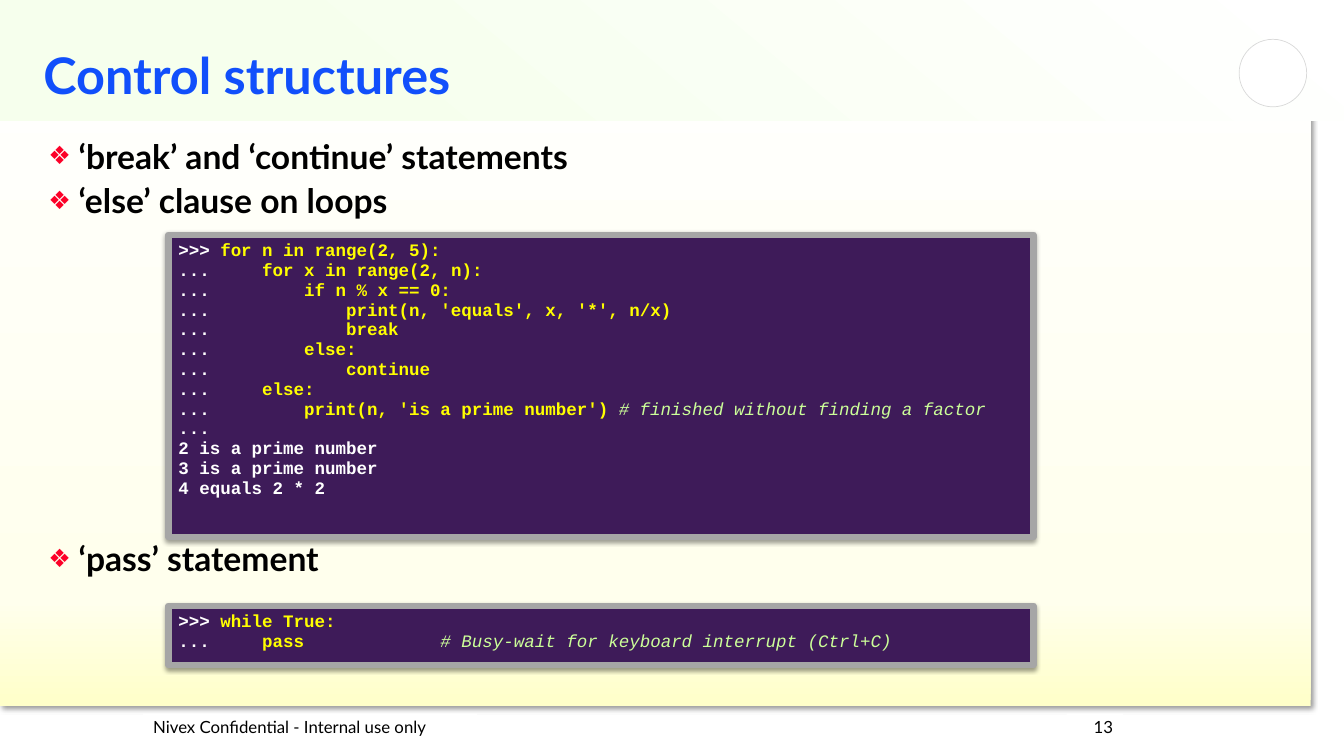
from dataclasses import dataclass
from math import cos, radians, sin

from lxml.etree import SubElement
from pptx import Presentation
from pptx.dml.color import RGBColor
from pptx.enum.shapes import MSO_SHAPE
from pptx.enum.text import MSO_ANCHOR, MSO_AUTO_SIZE, PP_ALIGN
from pptx.oxml.ns import qn
from pptx.util import Inches, Pt


@dataclass(frozen=True)
class Theme:
    font: str = "Lato"
    mono: str = "Courier New"
    title: str = "114FFB"
    text: str = "000000"
    paper: str = "FFFFFF"
    bullet: str = "FC0128"
    panel: str = "3E1B59"
    frame: str = "A6A6A6"
    emblem: str = "D9D9D9"
    prompt: str = "FFFFFF"
    code: str = "FFFF00"
    comment: str = "CCFF99"
    page: tuple = ((0, "FFFFC9"), (15, "FFFFED"), (100, "FFFFFF"))
    banner: tuple = ((0, "F6FFED"), (23, "F6FFED"), (100, "FFFFFF"))
    title_size: float = 36
    body_size: float = 24
    code_size: float = 12.5
    footer_size: float = 12


def rgb(value):
    return RGBColor.from_string(value)


def arc(cx, cy, start, end, r=0.09, steps=8):
    angles = [radians(start + (end - start) * i / steps) for i in range(steps + 1)]
    return [(cx + r * cos(a), cy + r * sin(a)) for a in angles]


class SlideBuilder:
    """Draws themed elements on the current slide."""

    def __init__(self, prs, theme):
        self.theme = theme
        self.s = prs.slides.add_slide(prs.slide_layouts[1])

    def run(self, p, text, size, color, font=None, bold=False, italic=False):
        r = p.add_run()
        r.text = text
        r.font.size, r.font.name = Pt(size), font or self.theme.font
        r.font.bold, r.font.italic = bold, italic
        r.font.color.rgb = rgb(color)

    def frame(self, sp, dx, dy):
        tf = sp.text_frame
        tf.word_wrap, tf.auto_size = True, MSO_AUTO_SIZE.NONE
        tf.vertical_anchor = MSO_ANCHOR.TOP
        tf.margin_left = tf.margin_right = Inches(dx)
        tf.margin_top = tf.margin_bottom = Inches(dy)
        return tf

    def paragraphs(self, tf, items, spacing):
        for i, item in enumerate(items):
            p = tf.add_paragraph() if i else tf.paragraphs[0]
            p.alignment, p.line_spacing = PP_ALIGN.LEFT, spacing
            yield p, item

    def placeholder(self, idx, box):
        sp = self.s.placeholders[idx]
        sp.left, sp.top, sp.width, sp.height = map(Inches, box)
        sp.element.getparent().append(sp.element)
        return sp

    def rect(self, box, fill, kind=MSO_SHAPE.RECTANGLE):
        sp = self.s.shapes.add_shape(kind, *map(Inches, box))
        sp.shadow.inherit = False
        sp.fill.solid()
        sp.fill.fore_color.rgb = rgb(fill)
        sp.line.fill.background()
        return sp

    def gradient(self, sp, stops, angle):
        sp.fill.gradient()
        sp.fill.gradient_angle = angle
        gs_list = sp.element.spPr.find(".//" + qn("a:gsLst"))
        gs_list.clear()
        for pos, color in stops:
            gs = SubElement(gs_list, qn("a:gs"), pos=str(pos * 1000))
            SubElement(gs, qn("a:srgbClr"), val=color)

    def shadow(self, sp, alpha, blur, dist, angle):
        sp.shadow.inherit = False
        effects = sp.element.spPr.find(qn("a:effectLst"))
        shadow = SubElement(effects, qn("a:outerShdw"), blurRad=str(Pt(blur)),
                            dist=str(Pt(dist)), dir=str(angle * 60000), rotWithShape="0")
        color = SubElement(shadow, qn("a:srgbClr"), val="000000")
        SubElement(color, qn("a:alpha"), val=str(alpha * 1000))

    def backdrop(self):
        outline = [(0, 0), (13.33, 0), (13.33, 6.61),
                   *arc(10.76, 6.7, 270, 180), *arc(10.58, 6.79, 0, 90),
                   *arc(1.35, 6.79, 90, 180), *arc(1.17, 6.7, 0, -90), (0, 6.61)]
        fb = self.s.shapes.build_freeform(0, 0, scale=Inches(1))
        fb.add_line_segments(outline[1:], close=True)
        sp = fb.convert_to_shape()
        self.gradient(sp, self.theme.page, 90)
        sp.line.fill.background()
        self.shadow(sp, 40, 4, 3, 45)
        self.gradient(self.rect((0, 0, 13.33, 1.2), self.theme.paper), self.theme.banner, 50)

    def emblem(self, box):
        sp = self.rect(box, self.theme.paper, MSO_SHAPE.OVAL)
        sp.line.color.rgb = rgb(self.theme.emblem)
        sp.line.width = Pt(0.5)

    def footer(self, box, text, align=PP_ALIGN.LEFT):
        tf = self.frame(self.rect(box, self.theme.paper), 0.1, 0.05)
        for p, item in self.paragraphs(tf, [text], 0.9):
            p.alignment = align
            self.run(p, item, self.theme.footer_size, self.theme.text)

    def title(self, box, text):
        tf = self.frame(self.placeholder(0, box), 0.05, 0.02)
        for p, item in self.paragraphs(tf, [text], 1.05):
            self.run(p, item, self.theme.title_size, self.theme.title, bold=True)

    def bullets(self, box, items):
        tf = self.frame(self.placeholder(1, box), 0.1, 0.05)
        for p, (text, before) in self.paragraphs(tf, items, 0.9):
            p.space_before = Pt(before)
            pPr = p._p.get_or_add_pPr()
            pPr.set("marL", str(Inches(0.3)))
            pPr.set("indent", str(Inches(-0.3)))
            SubElement(SubElement(pPr, qn("a:buClr")), qn("a:srgbClr"), val=self.theme.bullet)
            SubElement(pPr, qn("a:buSzPct"), val="75000")
            SubElement(pPr, qn("a:buChar"), char="❖")
            self.run(p, text, self.theme.body_size, self.theme.text, bold=True)

    def code(self, top, height, lines):
        t = self.theme
        sp = self.rect((1.67, top, 8.58, height), t.panel)
        sp.line.color.rgb = rgb(t.frame)
        sp.line.width = Pt(4.5)
        self.shadow(sp, 38, 3.1, 1.6, 90)
        for p, parts in self.paragraphs(self.frame(sp, 0.1, 0.1), lines, 0.7):
            p.space_before = Pt(3.65)
            for text, color in zip(parts, (t.prompt, t.code, t.comment)):
                note = color == t.comment
                self.run(p, text, t.code_size, color, t.mono, not note, note)


LOOP = [
    (">>> ", "for n in range(2, 5):"),
    ("...     ", "for x in range(2, n):"),
    ("...         ", "if n % x == 0:"),
    ("...             ", "print(n, 'equals', x, '*', n/x)"),
    ("...             ", "break"),
    ("...         ", "else:"),
    ("...             ", "continue"),
    ("...     ", "else:"),
    ("...         ", "print(n, 'is a prime number') ", "# finished without finding a factor"),
    ("...",),
    ("2 is a prime number",),
    ("3 is a prime number",),
    ("4 equals 2 * 2",),
]
WAIT = [
    (">>> ", "while True:"),
    ("...     ", "pass             ", "# Busy-wait for keyboard interrupt (Ctrl+C)"),
]


def main():
    prs = Presentation()
    prs.slide_width, prs.slide_height = Inches(13.33), Inches(7.5)
    b = SlideBuilder(prs, Theme())
    b.backdrop()
    b.footer((1.42, 7.08, 3.31, 0.28), "Nivex Confidential - Internal use only")
    b.footer((10.58, 7.08, 0.56, 0.28), "13", PP_ALIGN.RIGHT)
    b.emblem((12.29, 0.39, 0.67, 0.67))
    b.title((0.38, 0.39, 11.88, 0.67), "Control structures")
    b.bullets((0.38, 1.34, 12.58, 5.17), [
        ("‘break’ and ‘continue’ statements", 6),
        ("‘else’ clause on loops", 6),
        ("‘pass’ statement", 229.8),
    ])
    b.code(2.33, 3, LOOP)
    b.code(6.01, 0.59, WAIT)
    prs.save("out.pptx")


if __name__ == "__main__":
    main()
